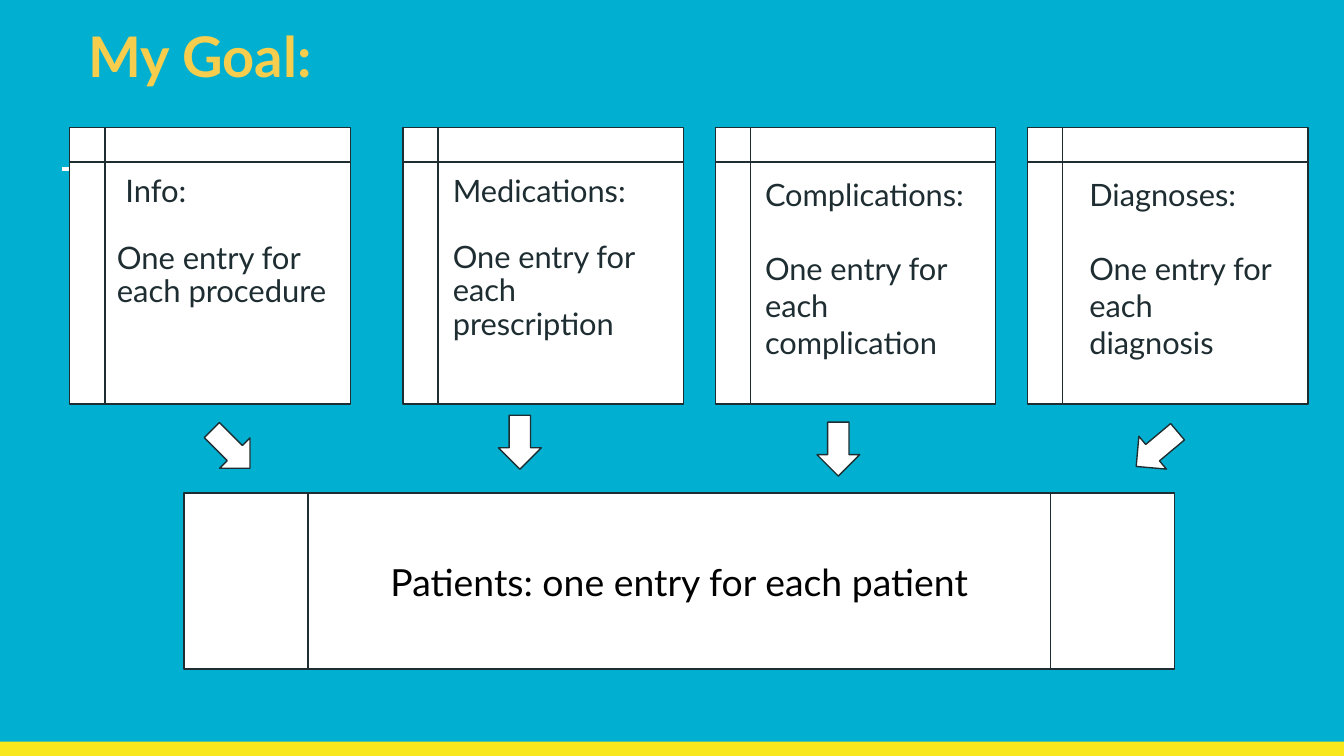
from lxml.etree import SubElement
from pptx import Presentation
from pptx.dml.color import RGBColor
from pptx.enum.shapes import MSO_CONNECTOR as Connector, MSO_SHAPE as Shape
from pptx.enum.text import MSO_ANCHOR as Anchor, MSO_AUTO_SIZE as AutoSize, PP_ALIGN as Align
from pptx.oxml.ns import qn
from pptx.util import Cm, Pt

COLORS = {"sea": "01AFD1", "yellow": "F8E71C", "gold": "F6CD4C",
          "white": "FFFFFF", "ink": "1E2D31", "black": "000000"}
FONT = "Lato"
INSET = 0.25
CARD_TOP, CARD_WIDTH, CARD_HEIGHT = 2.41, 5.3, 5.23

# heading, detail, card left, text offset and width, text size, line spacing,
# heading indent, arrow offset from card left and bottom, arrow rotation
CARDS = [
    ("Info:", "One entry for each procedure", 1.32, 0.64, 4.53, 16.6, 0.9, 0.16, 2.64, 0.34, 315),
    ("Medications:", "One entry for each prescription", 7.62, 0.69, 4.06, 16.5, 0.9, 0, 1.8, 0.21, 0),
    ("Complications:", "One entry for each complication", 13.52, 0.69, 4.32, 16.5, 1, 0, 1.92, 0.34, 0),
    ("Diagnoses:", "One entry for each diagnosis", 19.42, 0.92, 4.06, 16.5, 1, 0, 2.04, 0.34, 50),
]


def color(name):
    return RGBColor.from_string(COLORS[name])


def add_block(page, kind, box, fill="white", line="ink"):
    block = page.shapes.add_shape(kind, *map(Cm, box))
    block.shadow.inherit = False
    block.fill.solid()
    block.fill.fore_color.rgb = color(fill)
    if line:
        block.line.color.rgb = color(line)
        block.line.width = Pt(0.75)
    else:
        block.line.fill.background()
    return block


def set_frame(frame, anchor=Anchor.TOP):
    frame.word_wrap = True
    frame.auto_size = AutoSize.NONE
    frame.vertical_anchor = anchor
    frame.margin_left = frame.margin_right = Cm(INSET)
    frame.margin_top = frame.margin_bottom = Cm(INSET)


def add_span(para, text, size, tone, bold=False):
    span = para.add_run()
    span.text = text
    span.font.name = FONT
    span.font.size = Pt(size)
    span.font.bold = bold
    span.font.color.rgb = color(tone)


def add_backdrop(page, width, height):
    page.background.fill.solid()
    page.background.fill.fore_color.rgb = color("sea")
    add_block(page, Shape.RECTANGLE, (0, height - 0.27, width, 0.27), "yellow", None)
    dash = page.shapes.add_connector(Connector.STRAIGHT, Cm(1.17), Cm(3.2), Cm(2.24), Cm(3.2))
    dash.line.color.rgb = color("white")
    dash.line.width = Pt(2.25)
    SubElement(dash._element.spPr, qn("a:effectLst"))


def add_title(page, box):
    title = page.shapes.title
    title.left, title.top, title.width, title.height = map(Cm, box)
    set_frame(title.text_frame)
    para = title.text_frame.paragraphs[0]
    para.alignment = Align.LEFT
    add_span(para, "My Goal:", 30, "gold", bold=True)


def add_card(page, box, heading, detail, shift, text_width, size, spacing, indent):
    left, top, width, height = box
    add_block(page, Shape.FLOWCHART_INTERNAL_STORAGE, box)
    note = page.shapes.add_textbox(Cm(left + shift), Cm(top + 0.66), Cm(text_width), Cm(3.91))
    frame = note.text_frame
    set_frame(frame)
    first, second = frame.paragraphs[0], frame.add_paragraph()
    for para, text in ((first, heading), (second, detail)):
        para.line_spacing = spacing
        add_span(para, text, size, "ink")
    if indent:
        first._p.get_or_add_pPr().set("marL", str(Cm(indent)))
    # One line of air between heading and detail
    second.space_before = Pt(round(size * 1.2 * spacing, 1))


def add_arrow(page, left, top, rotation):
    arrow = add_block(page, Shape.DOWN_ARROW, (left, top, 0.81, 1.02))
    arrow.rotation = rotation


def add_patients(page, box):
    bar = add_block(page, Shape.FLOWCHART_PREDEFINED_PROCESS, box)
    set_frame(bar.text_frame, Anchor.MIDDLE)
    para = bar.text_frame.paragraphs[0]
    para.alignment = Align.CENTER
    add_span(para, "Patients: one entry for each patient", 20, "black")


def main():
    deck = Presentation()
    width, height = 25.4, 14.29
    deck.slide_width, deck.slide_height = Cm(width), Cm(height)
    page = deck.slides.add_slide(deck.slide_layouts[5])

    add_backdrop(page, width, height)
    add_title(page, (1.42, 0.15, 22.78, 1.98))

    # Four tables, each pointing to the patients table
    for heading, detail, left, shift, text_width, size, spacing, indent, across, drop, turn in CARDS:
        box = (left, CARD_TOP, CARD_WIDTH, CARD_HEIGHT)
        add_card(page, box, heading, detail, shift, text_width, size, spacing, indent)
        add_arrow(page, left + across, CARD_TOP + CARD_HEIGHT + drop, turn)
    add_patients(page, (3.48, 9.32, 18.72, 3.33))

    deck.save("out.pptx")


if __name__ == "__main__":
    main()
